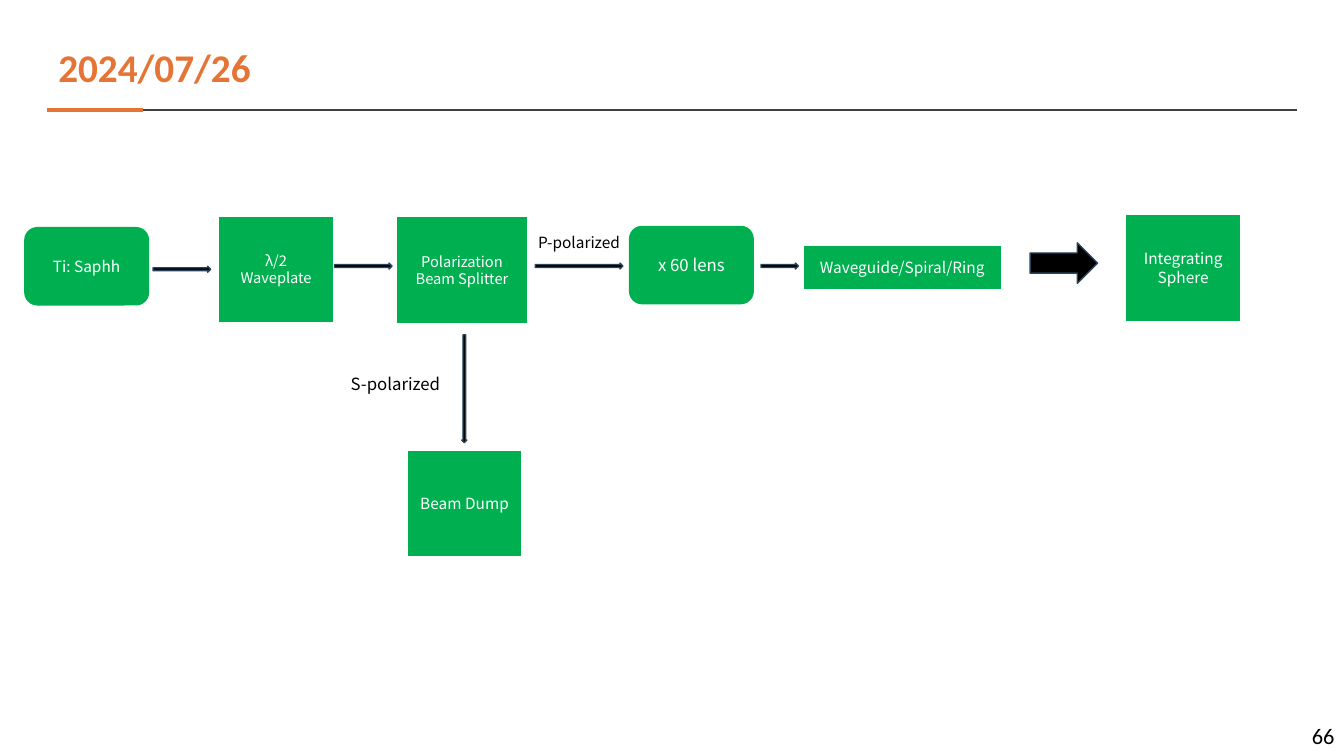
"""Build the optical setup slide: laser source to integrating sphere."""
import pptx
import pptx.dml.color
import pptx.enum.shapes
import pptx.enum.text
import pptx.util
from dataclasses import dataclass
from lxml import etree

Cm = pptx.util.Cm
Shape = pptx.enum.shapes.MSO_SHAPE
Align = pptx.enum.text.PP_ALIGN
Anchor = pptx.enum.text.MSO_ANCHOR


@dataclass(frozen=True)
class Theme:
    accent: str = "E57536"
    rule: str = "404040"
    block: str = "00B050"
    arrow_edge: str = "28445D"
    black: str = "000000"
    white: str = "FFFFFF"
    heading_font: str = "Calibri"
    body_font: str = "Noto Sans CJK SC"
    title_size: float = 28
    number_size: float = 16
    large_size: float = 12
    body_size: float = 11
    small_size: float = 10.5


theme = Theme()


def rgb(color):
    return pptx.dml.color.RGBColor.from_string(color)


def write(shape, lines, font, size, color, align, anchor, bold=False, spacing=None):
    frame = shape.text_frame
    frame.word_wrap = True
    frame.vertical_anchor = anchor
    frame.text = "\n".join(lines)
    font_format = {"name": font, "size": pptx.util.Pt(size), "bold": bold}
    for paragraph in frame.paragraphs:
        paragraph.alignment = align
        paragraph.line_spacing = spacing
        for run in paragraph.runs:
            for attribute, value in font_format.items():
                setattr(run.font, attribute, value)
            run.font.color.rgb = rgb(color)


presentation = pptx.Presentation()
presentation.slide_width = Cm(33.87)
presentation.slide_height = Cm(19.05)
slide = presentation.slides.add_slide(presentation.slide_layouts[6])
shapes = slide.shapes

rule_left, rule_top = Cm(1.19), Cm(2.77)
for rule_right, color, weight in [(32.69, theme.rule, 1), (3.61, theme.accent, 3)]:
    rule = shapes.add_connector(
        pptx.enum.shapes.MSO_CONNECTOR.STRAIGHT,
        rule_left, rule_top, Cm(rule_right), rule_top)
    rule.line.color.rgb = rgb(color)
    rule.line.width = pptx.util.Pt(weight)
    etree.SubElement(rule.line._get_or_add_ln().getparent(),
                     pptx.oxml.ns.qn("a:effectLst"))

title = shapes.add_textbox(Cm(1.22), Cm(0.94), Cm(29.21), Cm(1.63))
write(title, ["2024/07/26"], theme.heading_font, theme.title_size, theme.accent,
      Align.LEFT, Anchor.MIDDLE, bold=True, spacing=0.9)
number = shapes.add_textbox(Cm(26.26), Cm(18.03), Cm(7.62), Cm(1.02))
write(number, ["66"], theme.heading_font, theme.number_size, theme.black,
      Align.RIGHT, Anchor.MIDDLE)

square = (2.9, 2.69)
rounded = (3.15, 1.98)
blocks = [
    (["Ti: Saphh"], Shape.ROUNDED_RECTANGLE, 0.61, 5.72, rounded, theme.body_size),
    (["λ/2 Waveplate"], Shape.RECTANGLE, 5.51, 5.44, square, theme.small_size),
    (["Polarization", "Beam Splitter"], Shape.RECTANGLE, 9.98, 5.46, (3.33, 2.69),
     theme.small_size),
    (["x 60 lens"], Shape.ROUNDED_RECTANGLE, 15.85, 5.69, rounded, theme.large_size),
    (["Waveguide/Spiral/Ring"], Shape.RECTANGLE, 20.24, 6.17, (5, 1.12),
     theme.body_size),
    (["Integrating", "Sphere"], Shape.RECTANGLE, 28.37, 5.41, square, theme.body_size),
    (["Beam Dump"], Shape.RECTANGLE, 10.26, 11.35, square, theme.body_size),
]
for lines, kind, left, top, (width, height), size in blocks:
    block = shapes.add_shape(kind, Cm(left), Cm(top), Cm(width), Cm(height))
    block.shadow.inherit = False
    block.fill.solid()
    block.fill.fore_color.rgb = rgb(theme.block)
    if kind == Shape.RECTANGLE:
        block.line.color.rgb = rgb(theme.white)
        block.line.width = pptx.util.Pt(1)
    else:
        block.line.fill.background()
    write(block, lines, theme.body_font, size, theme.white, Align.CENTER, Anchor.MIDDLE)

arrows = [
    (3.86, 6.71, 1.45, 0.15, 0),
    (8.43, 6.63, 1.45, 0.15, 0),
    (13.49, 6.63, 2.21, 0.15, 0),
    (19.18, 6.63, 0.94, 0.15, 0),
    (25.96, 6.12, 1.7, 1.02, 0),
    (10.34, 9.73, 2.72, 0.13, 90),
]
for left, top, width, height, rotation in arrows:
    arrow = shapes.add_shape(
        Shape.RIGHT_ARROW, Cm(left), Cm(top), Cm(width), Cm(height))
    arrow.rotation = rotation
    arrow.shadow.inherit = False
    arrow.fill.solid()
    arrow.fill.fore_color.rgb = rgb(theme.black)
    arrow.line.color.rgb = rgb(theme.arrow_edge)
    arrow.line.width = pptx.util.Pt(1)

labels = [
    ("P-polarized", 13.31, 5.74, 2.84, 1.02, theme.body_size),
    ("S-polarized", 8.59, 9.3, 6.68, 0.97, theme.large_size),
]
for text, left, top, width, height, size in labels:
    label = shapes.add_textbox(Cm(left), Cm(top), Cm(width), Cm(height))
    write(label, [text], theme.body_font, size, theme.black, Align.LEFT, Anchor.TOP)

presentation.save("out.pptx")
